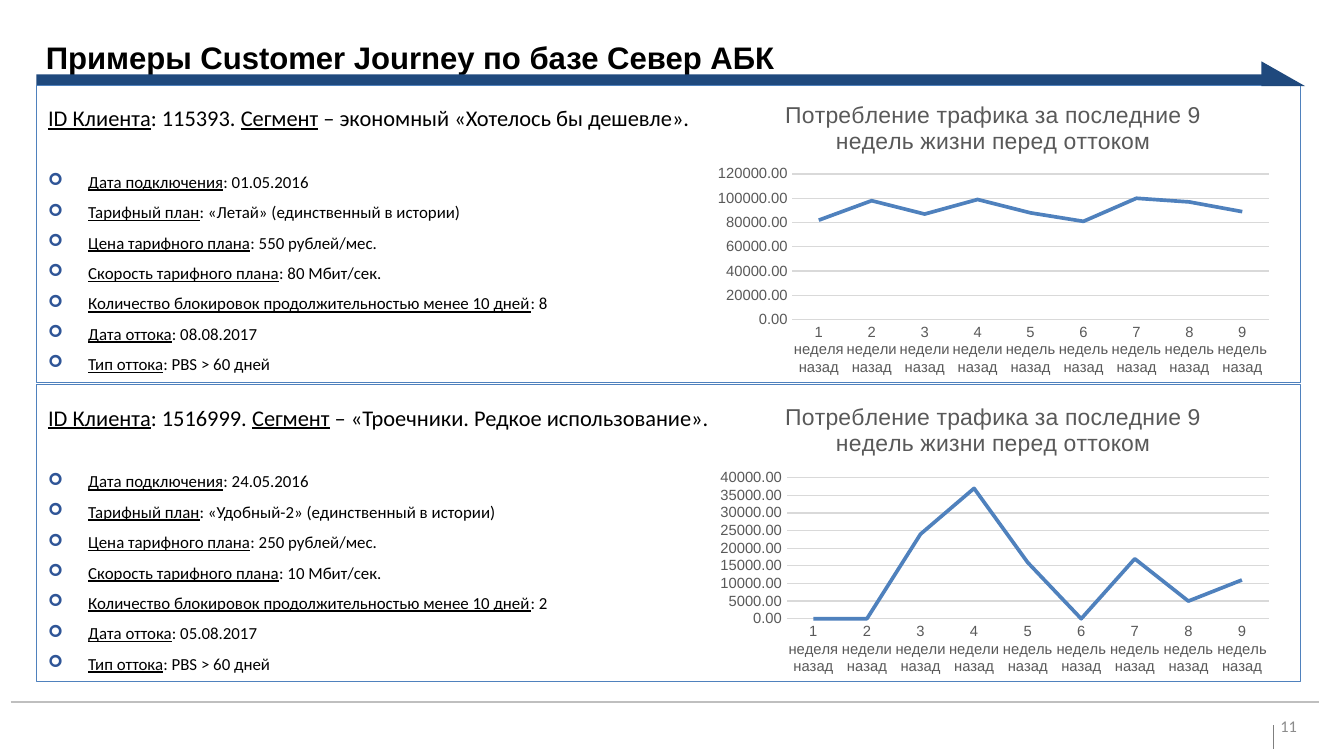
from lxml import etree
from pptx import Presentation
from pptx.chart.data import CategoryChartData
from pptx.dml.color import RGBColor
from pptx.enum.chart import XL_CHART_TYPE, XL_TICK_MARK
from pptx.enum.shapes import MSO_CONNECTOR, MSO_SHAPE
from pptx.enum.text import MSO_ANCHOR, PP_ALIGN
from pptx.oxml import parse_xml
from pptx.oxml.ns import nsdecls, qn
from pptx.util import Inches, Pt

COLORS = {
    "text": "000000", "number": "8C8C8C", "bullet": "2F5597",
    "bar": "1F497D", "accent": "4F81BD", "chart_text": "595959",
    "grid": "D9D9D9", "footer": "BFBFBF", "divider": "7F7F7F",
}
WEEKS = ["1 неделя назад"]
WEEKS += [f"{n} недели назад" for n in range(2, 5)]
WEEKS += [f"{n} недель назад" for n in range(5, 10)]
CHART_TITLE = "Потребление трафика за последние 9\vнедель жизни перед оттоком"
FACTS = [
    "Дата подключения", "Тарифный план", "Цена тарифного плана",
    "Скорость тарифного плана",
    "Количество блокировок продолжительностью менее 10 дней",
    "Дата оттока", "Тип оттока",
]
# plot: left, top, width and height as shares of the chart
CLIENTS = [
    {"top": 0.72, "id": "115393", "segment": "экономный «Хотелось бы дешевле»",
     "facts": ["01.05.2016", "«Летай» (единственный в истории)", "550 рублей/мес.",
               "80 Мбит/сек.", "8", "08.08.2017", "PBS > 60 дней"],
     "traffic": [82000, 98000, 87000, 99000, 88000, 81000, 100000, 97000, 89000],
     "chart_top": 0.72, "chart_height": 2.52, "plot": (0.15, 0.3, 0.83, 0.49)},
    {"top": 3.26, "id": "1516999", "segment": "«Троечники. Редкое использование»",
     "facts": ["24.05.2016", "«Удобный-2» (единственный в истории)", "250 рублей/мес.",
               "10 Мбит/сек.", "2", "05.08.2017", "PBS > 60 дней"],
     "traffic": [0, 0, 24000, 37000, 16000, 0, 17000, 5000, 11000],
     "chart_top": 3.28, "chart_height": 2.49, "plot": (0.14, 0.31, 0.84, 0.48)},
]


def color(name):
    return RGBColor.from_string(COLORS[name])


def set_font(font, name, size, color_name, bold=False):
    font.name = name
    font.size = Pt(size)
    font.bold = bold
    font.color.rgb = color(color_name)


def set_line(line, color_name, width):
    line.color.rgb = color(color_name)
    line.width = Pt(width)


def add_label(slide, box, text, font, margins=(0.1, 0.05), anchor=MSO_ANCHOR.TOP):
    frame = slide.shapes.add_textbox(*map(Inches, box)).text_frame
    frame.word_wrap = True
    frame.vertical_anchor = anchor
    frame.margin_left = frame.margin_right = Inches(margins[0])
    frame.margin_top = frame.margin_bottom = Inches(margins[1])
    paragraph = frame.paragraphs[0]
    paragraph.text = text
    set_font(paragraph.font, *font)


def add_rule(slide, ends, color_name, width):
    connector = slide.shapes.add_connector(MSO_CONNECTOR.STRAIGHT, *map(Inches, ends))
    set_line(connector.line, color_name, width)
    etree.SubElement(connector.element.spPr, qn("a:effectLst"))


def add_solid(slide, kind, box):
    shape = slide.shapes.add_shape(kind, *map(Inches, box))
    shape.shadow.inherit = False
    shape.fill.solid()
    shape.fill.fore_color.rgb = color("bar")
    shape.line.fill.background()
    return shape


def add_bullet(paragraph):
    properties = paragraph._p.get_or_add_pPr()
    properties.set("marL", str(Inches(0.34)))
    properties.set("indent", str(-Inches(0.34)))
    bullet_color = etree.SubElement(properties, qn("a:buClr"))
    etree.SubElement(bullet_color, qn("a:srgbClr"), val=COLORS["bullet"])
    etree.SubElement(properties, qn("a:buFont"), typeface="Wingdings")
    etree.SubElement(properties, qn("a:buChar"), char="➢")


def write_line(paragraph, parts, size):
    """Write parts as runs; every even part is underlined."""
    paragraph.alignment = PP_ALIGN.LEFT
    paragraph.line_spacing = 1.5
    set_font(paragraph.font, "Calibri", size, "text")
    for index, text in enumerate(parts):
        run = paragraph.add_run()
        run.text = text
        run.font.underline = index % 2 == 0


def add_client_card(slide, client):
    card = slide.shapes.add_shape(MSO_SHAPE.RECTANGLE, Inches(0.31), Inches(client["top"]),
                                  Inches(10.72), Inches(2.52))
    card.shadow.inherit = False
    card.fill.background()
    set_line(card.line, "accent", 0.25)
    frame = card.text_frame
    frame.word_wrap = True
    frame.vertical_anchor = MSO_ANCHOR.TOP
    heading = frame.paragraphs[0]
    write_line(heading, ["ID Клиента", f": {client['id']}. ", "Сегмент",
                         f" – {client['segment']}."], 13.7)
    heading.space_after = Pt(18.5)
    for fact, value in zip(FACTS, client["facts"]):
        paragraph = frame.add_paragraph()
        write_line(paragraph, [fact, f": {value}"], 10.3)
        add_bullet(paragraph)


def set_plot_layout(chart, plot):
    entries = "".join(f'<c:{key}Mode val="edge"/>' for key in "xy")
    entries += "".join(f'<c:{key} val="{share}"/>' for key, share in zip("xywh", plot))
    layout = parse_xml(
        f'<c:layout {nsdecls("c")}><c:manualLayout><c:layoutTarget val="inner"/>'
        f"{entries}</c:manualLayout></c:layout>")
    plot_area = chart.element.find(".//" + qn("c:plotArea"))
    for previous in plot_area.findall(qn("c:layout")):
        plot_area.remove(previous)
    plot_area.insert(0, layout)


def style_axis(axis):
    axis.major_tick_mark = axis.minor_tick_mark = XL_TICK_MARK.NONE
    set_font(axis.tick_labels.font, "Arial", 9, "chart_text")


def add_traffic_chart(slide, client):
    data = CategoryChartData(number_format="0.00")
    data.categories = WEEKS
    data.add_series("Series 1", client["traffic"])
    chart = slide.shapes.add_chart(
        XL_CHART_TYPE.LINE, Inches(5.99), Inches(client["chart_top"]),
        Inches(4.87), Inches(client["chart_height"]), data).chart
    set_font(chart.font, "Arial", 10, "text")
    chart.has_legend = False
    chart.has_title = True
    title = chart.chart_title.text_frame.paragraphs[0]
    title.text = CHART_TITLE
    set_font(title.font, "Arial", 14, "chart_text")
    chart.chart_title.include_in_layout = False
    # Axes and grid
    style_axis(chart.category_axis)
    style_axis(chart.value_axis)
    set_line(chart.category_axis.format.line, "grid", 0.75)
    chart.value_axis.format.line.fill.background()
    set_line(chart.value_axis.major_gridlines.format.line, "grid", 0.75)
    chart.value_axis.tick_labels.number_format = "0.00"
    chart.value_axis.tick_labels.number_format_is_linked = False
    # Traffic line
    chart.plots[0].vary_by_categories = False
    series = chart.plots[0].series[0]
    series.smooth = False
    set_line(series.format.line, "accent", 2.25)
    set_plot_layout(chart, client["plot"])


def main():
    presentation = Presentation()
    presentation.slide_width = Inches(11.4)
    presentation.slide_height = Inches(6.41)
    slide = presentation.slides.add_slide(presentation.slide_layouts[6])

    # Footer
    add_rule(slide, (10.8, 6.15, 10.8, 6.35), "divider", 0.75)
    add_rule(slide, (0.09, 5.95, 11.19, 5.95), "footer", 1)
    add_label(slide, (10.86, 6.07, 0.43, 0.17), "11", ("Calibri", 10, "number"), (0, 0))

    # Title
    add_label(slide, (0.29, 0.2, 10.88, 0.56), "Примеры Customer Journey по базе Север АБК",
              ("Arial", 19, "text", True), anchor=MSO_ANCHOR.MIDDLE)

    # Client cards with traffic charts
    for client in CLIENTS:
        add_client_card(slide, client)
        add_traffic_chart(slide, client)

    # Arrow under the title
    add_solid(slide, MSO_SHAPE.RECTANGLE, (0.31, 0.63, 10.53, 0.09))
    arrow_tip = add_solid(slide, MSO_SHAPE.ISOSCELES_TRIANGLE, (10.7, 0.52, 0.37, 0.21))
    arrow_tip.adjustments[0] = 0

    presentation.save("out.pptx")


if __name__ == "__main__":
    main()
